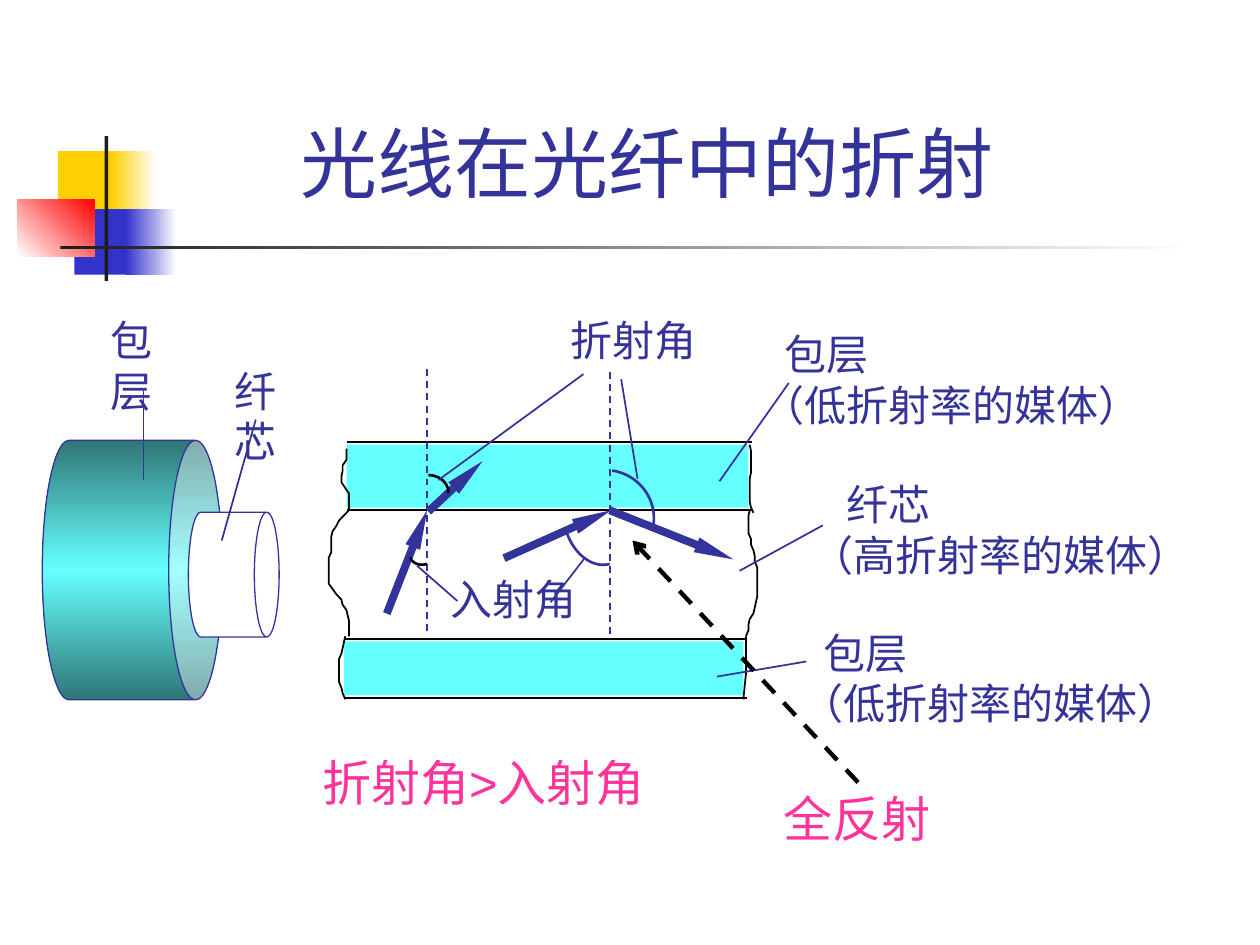
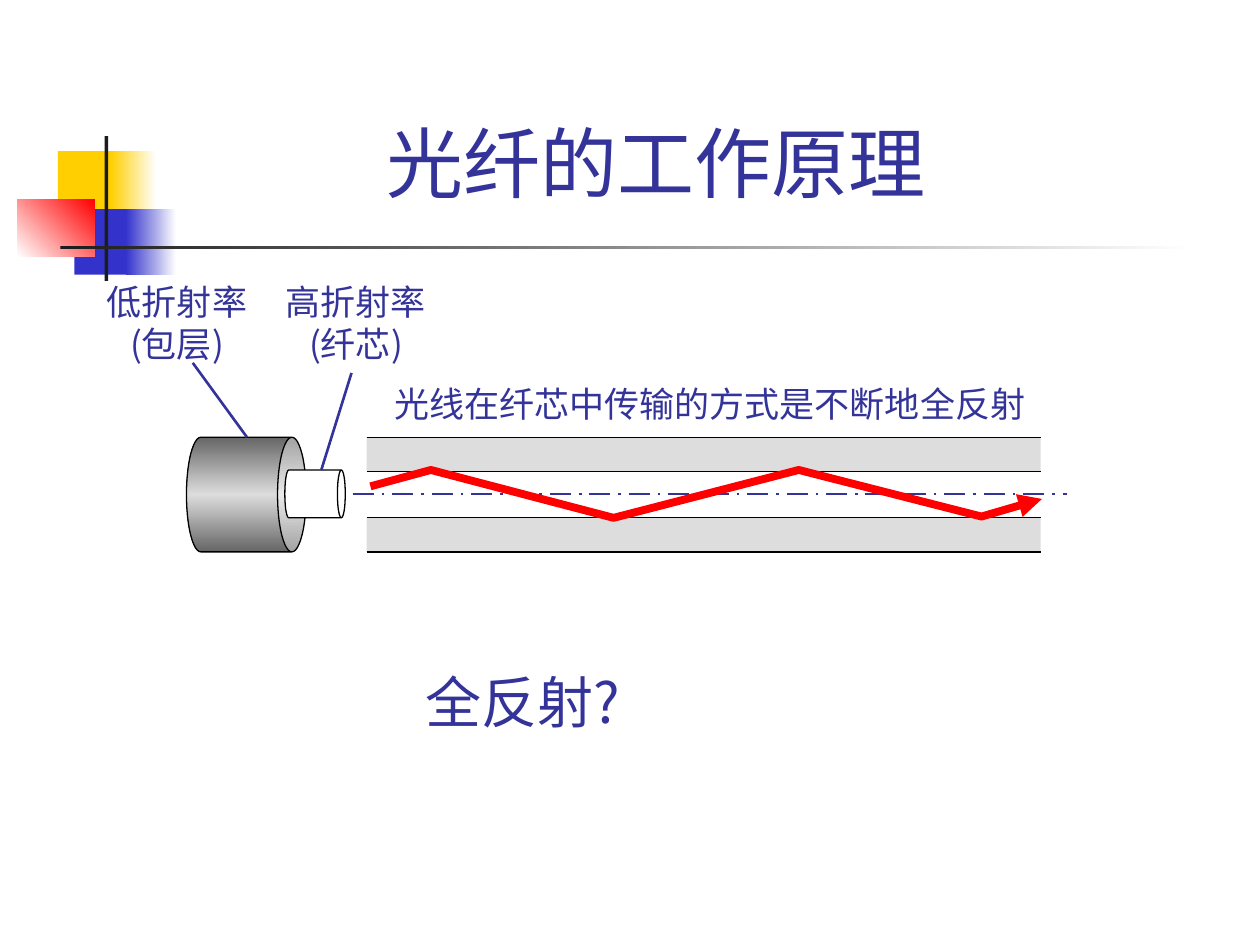
from dataclasses import dataclass
from typing import Any

from lxml import etree
from pptx import Presentation
from pptx import util as u
from pptx.dml.color import RGBColor
from pptx.enum import dml, shapes, text
from pptx.oxml import ns

COLORS = {
    "white": "FFFFFF", "black": "000000", "ink": "333399", "pink": "FF3399",
    "yellow": "FFCF01", "blue": "3333CC", "red": "FF0000", "bar": "1C1C1C",
    "cyan": "66FFFF", "teal": "2F7676", "light": "DDDDDD", "gray": "666666",
}
LATIN = "Arial"
CHINESE = "Noto Sans CJK SC"
DASH = dml.MSO_LINE.DASH
LEFT, CENTER = text.PP_ALIGN.LEFT, text.PP_ALIGN.CENTER
RECT, CAN = shapes.MSO_SHAPE.RECTANGLE, shapes.MSO_SHAPE.CAN


def rgb(name):
    return RGBColor.from_string(COLORS[name])


def style_line(item, color, width, dash=None, head=None):
    item.line.color.rgb = rgb(color)
    item.line.width = u.Pt(width)
    if dash:
        item.line.dash_style = dash
    if head:
        kind, breadth, length = head
        etree.SubElement(item.line._ln, ns.qn("a:tailEnd"), type=kind, w=breadth, len=length)


def style_fill(shape, fill, angle=0):
    if fill is None:
        shape.fill.background()
    elif isinstance(fill, str):
        shape.fill.solid()
        shape.fill.fore_color.rgb = rgb(fill)
    else:
        shape.fill.gradient()
        shape.fill.gradient_angle = angle
        stops = shape._element.spPr.find(".//" + ns.qn("a:gsLst"))
        for stop in list(stops):
            stops.remove(stop)
        for index, name in enumerate(fill):
            position = 100000 * index // (len(fill) - 1)
            stop = etree.SubElement(stops, ns.qn("a:gs"), pos=str(position))
            etree.SubElement(stop, ns.qn("a:srgbClr"), val=COLORS[name])


def style_text(paragraph, size, color, font, align):
    paragraph.alignment = align
    for span in paragraph.runs:
        span.font.size = u.Pt(size)
        span.font.name = font
        span.font.color.rgb = rgb(color)


@dataclass
class Region:
    page: Any
    left: float
    top: float

    def point(self, x, y):
        return u.Inches(self.left + x), u.Inches(self.top + y)

    def shape(self, kind, at, fill=None, line=None, angle=0, rotation=0):
        x, y, width, height = at
        shape = self.page.shapes.add_shape(
            kind, *self.point(x, y), u.Inches(width), u.Inches(height))
        shape.shadow.inherit = False
        shape.rotation = rotation
        style_fill(shape, fill, angle)
        if line:
            style_line(shape, *line)
        else:
            shape.line.fill.background()
        return shape

    def can(self, at, fill, color, depth):
        can = self.shape(CAN, at, fill, (color, 0.75), rotation=90)
        can.adjustments[0] = depth

    def arc(self, center, radii, rotation, color):
        (x, y), (across, down) = center, radii
        self.shape(shapes.MSO_SHAPE.ARC, (x - across, y - down, 2 * across, 2 * down),
                   line=(color, 1.5), rotation=rotation)

    def line(self, start, end, color="ink", width=1, dash=None, head=None):
        connector = self.page.shapes.add_connector(
            shapes.MSO_CONNECTOR.STRAIGHT, *self.point(*start), *self.point(*end))
        style_line(connector, color, width, dash, head)
        etree.SubElement(connector._element.spPr, ns.qn("a:effectLst"))

    def polyline(self, points, color, width, head=None):
        corners = [self.point(*point) for point in points]
        builder = self.page.shapes.build_freeform(*corners[0])
        builder.add_line_segments(corners[1:], close=False)
        outline = builder.convert_to_shape()
        outline.shadow.inherit = False
        outline.fill.background()
        style_line(outline, color, width, head=head)

    def torn_edge(self, top, bottom, columns):
        step = (bottom - top) / (len(columns) - 1)
        points = [(x, top + index * step) for index, x in enumerate(columns)]
        self.polyline(points, "black", 1)

    def label(self, at, lines, size=24, color="ink", font=LATIN, align=LEFT,
              wrap=False, indent=0):
        x, y, width, height = at
        box = self.page.shapes.add_textbox(
            *self.point(x, y), u.Inches(width), u.Inches(height))
        frame = box.text_frame
        frame.word_wrap = wrap
        frame.text = lines
        for paragraph in frame.paragraphs:
            style_text(paragraph, size, color, font, align)
        if indent:
            frame.paragraphs[0]._p.get_or_add_pPr().set("marL", str(u.Inches(indent)))


def add_ornament(region):
    for at, fill, angle in (
        ((0.46, 0.2, 0.48, 0.52), "yellow", 0),
        ((0.88, 0.2, 0.36, 0.52), ("yellow", "white"), 0),
        ((0.59, 0.66, 0.46, 0.52), "blue", 0),
        ((1, 0.66, 0.4, 0.52), ("blue", "white"), 0),
        ((0.14, 0.58, 0.61, 0.46), ("white", "red"), 45),
        ((0.83, 0.08, 0.03, 1.15), "bar", 0),
        ((0.48, 0.95, 9, 0.03), ("bar", "white"), 0),
    ):
        region.shape(RECT, at, fill, angle=angle)


def add_page(deck, heading):
    page = deck.slides.add_slide(deck.slide_layouts[5])
    add_ornament(Region(page, 0, 1))
    title = page.shapes.title
    title.left, title.top = u.Inches(1.26), u.Inches(0.23)
    title.width, title.height = u.Inches(7.9), u.Inches(1.47)
    frame = title.text_frame
    frame.text = heading
    frame.auto_size = text.MSO_AUTO_SIZE.NONE
    frame.vertical_anchor = text.MSO_ANCHOR.BOTTOM
    style_text(frame.paragraphs[0], 44, "ink", LATIN, CENTER)
    return page


def add_cutaway(region):
    region.can((0.02, 1.81, 2.06, 1.43), ("teal", "cyan", "teal"), "ink", 0.298)
    region.can((1.36, 2.2, 0.99, 0.72), "white", "ink", 0.273)
    region.label((0.78, 0.45, 0.86, 0.5), "包层")
    region.label((1.76, 0.85, 0.76, 0.9), "纤芯", wrap=True)
    region.line((1.14, 1.09), (1.14, 1.81))
    region.line((2.03, 1.33), (1.76, 2.29))


def add_fiber_layers(region):
    for left, right, top, bottom in ((0.75, 3.97, 1.51, 2.05), (0.73, 3.93, 3.07, 3.54)):
        for y in (top, bottom):
            region.line((left, y), (right, y), "black")
        region.shape(RECT, (left, top + 0.02, right - left - 0.03, bottom - top - 0.04), "cyan")
    region.torn_edge(1.56, 2.05, (
        0.75, 0.75, 0.75, 0.72, 0.72, 0.71, 0.71, 0.74, 0.77, 0.77, 0.77, 0.77))
    region.torn_edge(2.05, 3.05, (
        0.77, 0.73, 0.69, 0.67, 0.64, 0.63, 0.63, 0.63, 0.63, 0.61, 0.61, 0.61, 0.61,
        0.61, 0.61, 0.64, 0.67, 0.71, 0.72, 0.75, 0.76, 0.77, 0.77, 0.77, 0.77))
    region.torn_edge(3.05, 3.55, (
        0.74, 0.73, 0.72, 0.71, 0.69, 0.69, 0.69, 0.69, 0.69, 0.71, 0.72, 0.74))
    region.torn_edge(1.53, 2.07, (
        3.95, 3.96, 3.96, 3.96, 3.96, 3.96, 3.95, 3.95, 3.95, 3.95, 3.95, 3.96, 3.98))
    region.torn_edge(2.05, 3.05, (
        3.95, 3.94, 3.94, 3.94, 3.94, 3.96, 3.96, 3.98, 3.99, 3.99, 4.01, 4.01,
        4.01, 4.01, 4.01, 4.01, 4, 3.99, 3.98, 3.95, 3.94, 3.94, 3.92))
    region.torn_edge(3.05, 3.55, (3.92, 3.92, 3.92, 3.92, 3.91, 3.9))


def add_rays(region):
    for x, top in ((1.39, 0.93), (2.84, 0.95)):
        region.line((x, top), (x, top + 2.12), dash=DASH)
    for start, end in (
        ((1.4, 2.06), (1.83, 1.66)), ((1.07, 2.87), (1.39, 2.05)),
        ((2, 2.43), (2.85, 2.05)), ((2.84, 2.05), (3.82, 2.44)),
    ):
        region.line(start, end, width=4.5, head=("triangle", "sm", "lg"))
    for center, radii, rotation, color in (
        ((1.36, 2.39), (0.11, 0.09), 162, "black"),
        ((1.4, 1.91), (0.16, 0.14), 0, "black"),
        ((2.74, 2.13), (0.26, 0.36), 164, "ink"),
        ((2.8, 2.11), (0.39, 0.38), 9, "ink"),
    ):
        region.arc(center, radii, rotation, color)


def add_ray_labels(region):
    region.label((2.43, 0.45, 1.2, 0.5), "折射角")
    region.label((1.48, 2.5, 1.2, 0.5), "入射角")
    for x, y, indent, lines in (
        (3.95, 0.56, 0.18, "包层\n（低折射率的媒体）"),
        (4.34, 1.75, 0.28, "纤芯\n（高折射率的媒体）"),
        (4.26, 2.93, 0.18, "包层\n（低折射率的媒体）"),
    ):
        region.label((x, y, 3.2, 0.9), lines, indent=indent)
    for start, end in (
        ((2.93, 1.01), (3.06, 1.8)), ((1.48, 1.81), (2.63, 0.97)),
        ((1.31, 2.49), (1.63, 2.77)), ((2.37, 2.78), (2.64, 2.43)),
        ((3.87, 2.53), (4.53, 2.17)), ((4.26, 1.04), (3.71, 1.82)),
        ((4.4, 3.25), (3.69, 3.37)),
    ):
        region.line(start, end)


def add_conclusions(region):
    region.label((0.46, 3.92, 3.48, 0.57), "折射角>入射角", 28, "pink", wrap=True)
    region.label((3.78, 4.21, 2.04, 0.57), "全反射", 28, "pink", align=CENTER, wrap=True)
    region.line((4.81, 4.21), (3.02, 2.29), "black", 2.5, DASH, ("arrow", "med", "med"))


def add_cable(region):
    region.can((1.5, 1.45, 0.91, 0.95), ("gray", "light", "gray"), "black", 0.25)
    region.can((2.31, 1.68, 0.38, 0.48), "white", "black", 0.164)
    for x, lines in ((2.17, "高折射率\n(纤芯)"), (0.75, "低折射率\n(包层)")):
        region.label((x, 0.18, 1.31, 0.77), lines, 20, font=CHINESE, align=CENTER)
    region.line((2.79, 0.96), (2.55, 1.73), width=1.5)
    region.line((1.53, 0.88), (1.96, 1.47), width=1.5)


def add_light_guide(region):
    edges = (0.47, 0.74, 1.11, 1.38)
    for top, bottom, fill in zip(edges, edges[1:], ("light", "white", "light")):
        region.shape(RECT, (0.91, top, 5.35, bottom - top), fill)
    for y in edges:
        region.line((0.91, y), (6.26, y), "black", 0.75)
    region.line((0.8, 0.92), (6.47, 0.92), width=1.5, dash=dml.MSO_LINE.LONG_DASH_DOT)
    region.label((1.03, -0.01, 5.21, 0.44), "光线在纤芯中传输的方式是不断地全反射", 20,
                 font=CHINESE)
    region.polyline(
        ((0.94, 0.86), (1.42, 0.73), (2.87, 1.11), (4.34, 0.73), (5.79, 1.1), (6.27, 0.96)),
        "red", 4.5, ("triangle", "med", "med"))
    region.label((1.28, 2.25, 1.91, 0.64), "全反射?", 32, font=CHINESE)


def main():
    deck = Presentation()
    deck.slide_width, deck.slide_height = u.Inches(10), u.Inches(7.5)

    refraction = add_page(deck, "光线在光纤中的折射 ")
    diagram = Region(refraction, 2, 2)
    add_fiber_layers(diagram)
    add_rays(diagram)
    add_ray_labels(diagram)
    add_cutaway(Region(refraction, 0, 2))
    add_conclusions(diagram)

    principle = add_page(deck, "光纤的工作原理")
    add_cable(Region(principle, 0, 2))
    add_light_guide(Region(principle, 2, 3))

    deck.save("out.pptx")


if __name__ == "__main__":
    main()
